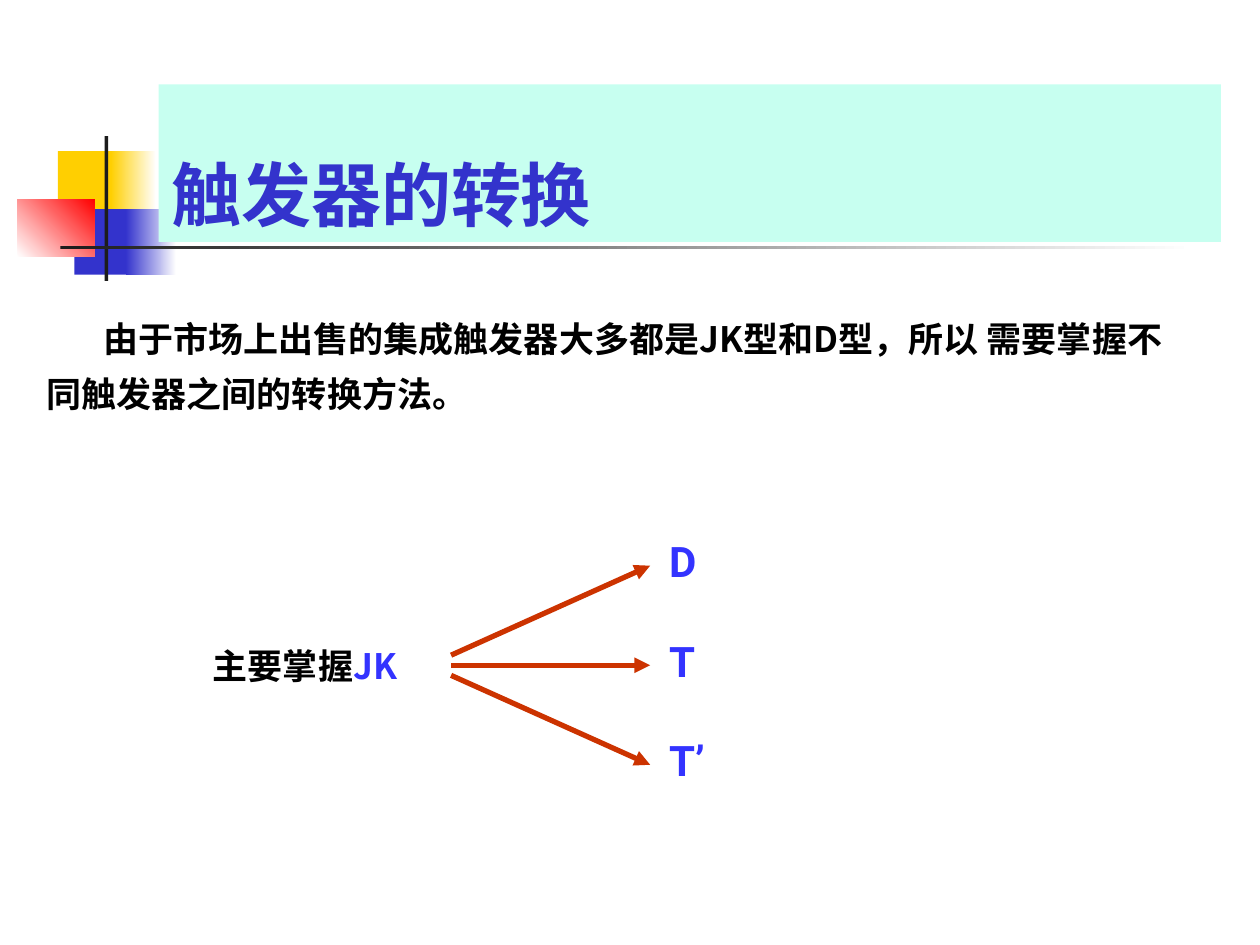
from dataclasses import dataclass
from pptx import Presentation, util as u
from pptx.dml.color import RGBColor
from pptx.enum import shapes, text
from pptx.oxml.ns import qn


@dataclass(frozen=True)
class Theme:
    """Colours, fonts and type sizes of the slide."""
    gold: str = "FFCF01"
    blue: str = "3333CC"
    red: str = "FF0000"
    dark: str = "1C1C1C"
    white: str = "FFFFFF"
    mint: str = "C7FFF0"
    ink: str = "000000"
    term: str = "3333FF"
    arrow: str = "CC3300"
    latin: str = "Roboto"
    han: str = "Noto Sans CJK SC"
    head: int = 40
    big: int = 24
    base: int = 20


T = Theme()
W, H = 10, 7.5
MID, STEP = 5.28, 0.79


def rgb(tone):
    """Turn a hex string into a colour."""
    return RGBColor.from_string(tone)


def place(item, *box):
    """Set left, top, width and height in inches."""
    item.left, item.top, item.width, item.height = map(u.Inches, box)


def block(slide, box, tone, end=None, angle=0):
    """Add a bare rectangle, plain or fading to an end colour."""
    rect = slide.shapes.add_shape(shapes.MSO_SHAPE.RECTANGLE, *map(u.Inches, box))
    rect.shadow.inherit = False
    rect.line.fill.background()
    if end is None:
        rect.fill.solid()
        rect.fill.fore_color.rgb = rgb(tone)
        return
    rect.fill.gradient()
    rect.fill.gradient_angle = angle
    for stop, shade, pos in zip(rect.fill.gradient_stops, (tone, end), (0, 1)):
        stop.color.rgb = rgb(shade)
        stop.position = pos


def style(run, size, tone, face):
    """Format one bold run with Latin and Han fonts."""
    font = run.font
    font.size, font.bold, font.name = u.Pt(size), True, face
    font.color.rgb = rgb(tone)
    han = run._r.get_or_add_rPr().makeelement(qn("a:ea"), {"typeface": T.han})
    run._r.rPr.find(qn("a:latin")).addnext(han)


def label(slide, box, parts, size, face):
    """Add a one-line label made of coloured parts."""
    item = slide.shapes.add_textbox(*map(u.Inches, box))
    frame = item.text_frame
    frame.margin_left = frame.margin_right = frame.margin_top = frame.margin_bottom = 0
    frame.vertical_anchor = text.MSO_ANCHOR.MIDDLE
    frame.word_wrap = True
    for words, tone in parts:
        run = frame.paragraphs[0].add_run()
        run.text = words
        style(run, size, tone, face)


def arrow(slide, x1, y1, x2, y2):
    """Add a straight arrow."""
    line = slide.shapes.add_connector(
        shapes.MSO_CONNECTOR.STRAIGHT, *map(u.Inches, (x1, y1, x2, y2)))
    line.line.width = u.Pt(3)
    line.line.color.rgb = rgb(T.arrow)
    edge = line.line._get_or_add_ln()
    edge.append(edge.makeelement(qn("a:tailEnd"), {"type": "triangle"}))
    props = line._element.spPr
    props.append(props.makeelement(qn("a:effectLst"), {}))


def decor(slide):
    """Draw the coloured squares and the two bars."""
    block(slide, (0.46, 1.2, 0.48, 0.52), T.gold)
    block(slide, (0.88, 1.2, 0.36, 0.52), T.gold, T.white)
    block(slide, (0.59, 1.66, 0.46, 0.52), T.blue)
    block(slide, (1, 1.66, 0.4, 0.52), T.blue, T.white)
    block(slide, (0.14, 1.58, 0.61, 0.46), T.white, T.red, 45)
    block(slide, (0.83, 1.08, 0.03, 1.15), T.dark)
    block(slide, (0.48, 1.95, 9, 0.03), T.dark, T.white)


def title(slide, words):
    """Fill the title and bring it in front of the squares."""
    head = slide.shapes.title
    place(head, 1.26, 0.67, 8.43, 1.25)
    head.fill.solid()
    head.fill.fore_color.rgb = rgb(T.mint)
    frame = head.text_frame
    frame.text = words
    frame.auto_size = text.MSO_AUTO_SIZE.NONE
    frame.vertical_anchor = text.MSO_ANCHOR.BOTTOM
    para = frame.paragraphs[0]
    para.alignment = text.PP_ALIGN.LEFT
    style(para.runs[0], T.head, T.blue, T.latin)
    slide.shapes._spTree.append(head._element)


def body(slide, words):
    """Fill the body with one indented paragraph without a bullet."""
    item = slide.placeholders[1]
    place(item, 0.27, 2.37, 9.29, 0.97)
    frame = item.text_frame
    frame.text = words
    frame.auto_size = text.MSO_AUTO_SIZE.NONE
    para = frame.paragraphs[0]
    props = para._p.get_or_add_pPr()
    props.set("marL", "0")
    props.set("indent", str(u.Inches(0.45)))
    props.append(props.makeelement(qn("a:buNone"), {}))
    para.line_spacing, para.space_before = 1.3, u.Pt(0)
    style(para.runs[0], T.base, T.ink, T.han)
    slide.shapes._spTree.append(item._element)


def fan(slide, names):
    """Draw the source label with an arrow to each target."""
    label(slide, (1.69, MID - 0.2, 1.97, 0.4),
          [("主要掌握", T.ink), ("JK", T.term)], T.base, T.han)
    for row, name in enumerate(names, -1):
        end = MID + row * STEP
        label(slide, (5.31, end - 0.24, 0.39, 0.4), [(name, T.term)], T.big, T.latin)
        arrow(slide, 3.58, MID + row * 0.08, 5.16, end)


def main():
    """Build and save the slide."""
    deck = Presentation()
    deck.slide_width, deck.slide_height = u.Inches(W), u.Inches(H)
    slide = deck.slides.add_slide(deck.slide_layouts[1])
    decor(slide)
    title(slide, "触发器的转换")
    body(slide, "由于市场上出售的集成触发器大多都是JK型和D型，所以 需要掌握不同触发器之间的转换方法。")
    fan(slide, ("D", "T", "T’"))
    deck.save("out.pptx")


if __name__ == "__main__":
    main()
